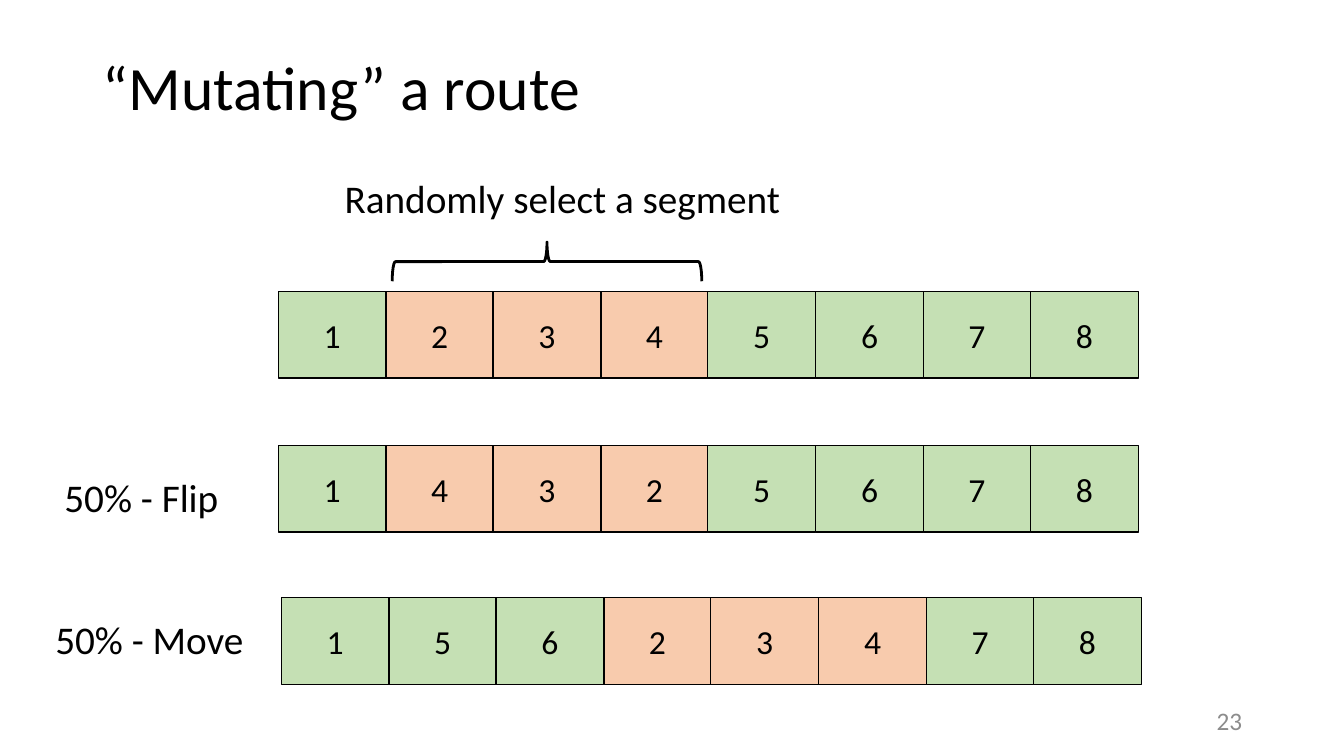
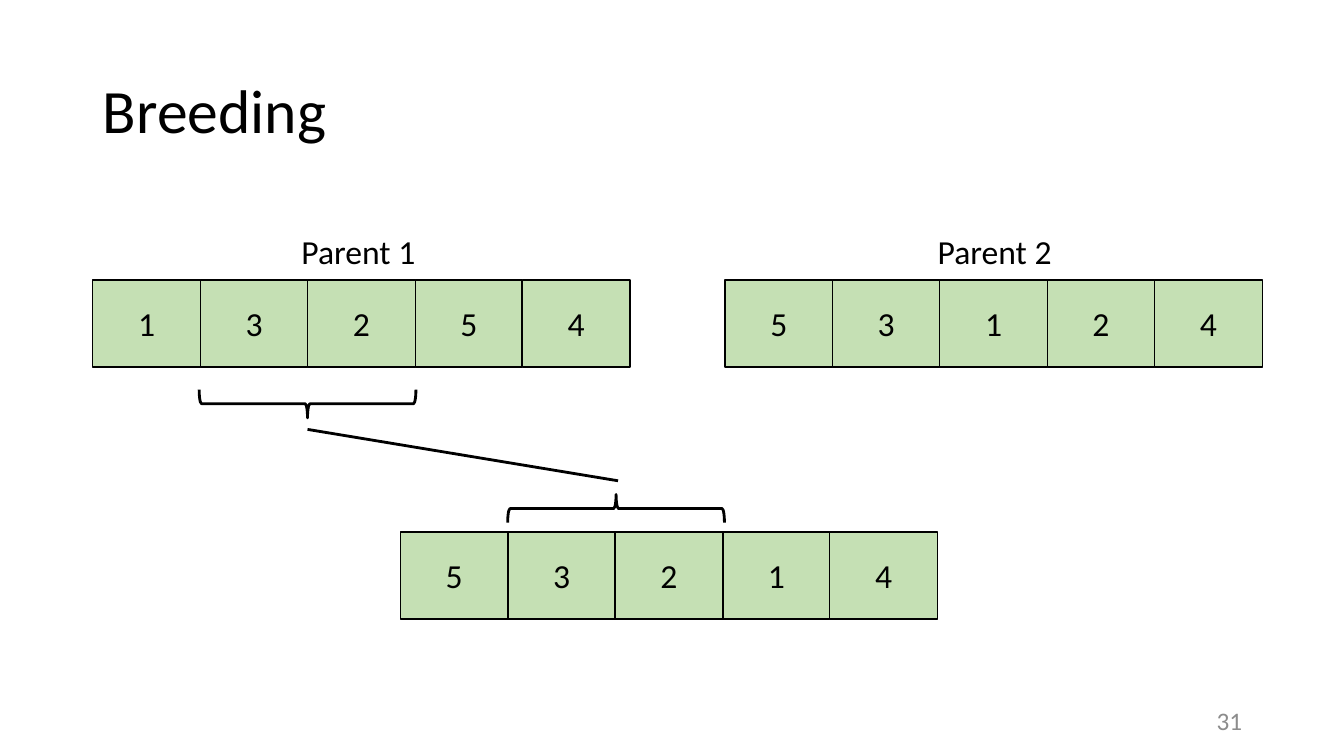
from dataclasses import dataclass

from lxml import etree
from pptx import Presentation
from pptx.dml.color import RGBColor
from pptx.enum.shapes import MSO_CONNECTOR, MSO_SHAPE
from pptx.enum.text import MSO_ANCHOR, MSO_AUTO_SIZE, PP_ALIGN
from pptx.oxml.ns import qn
from pptx.util import Emu, Pt

LEFT, CENTER, RIGHT = PP_ALIGN.LEFT, PP_ALIGN.CENTER, PP_ALIGN.RIGHT
TOP, MIDDLE = MSO_ANCHOR.TOP, MSO_ANCHOR.MIDDLE
RECTANGLE, LEFT_BRACE = MSO_SHAPE.RECTANGLE, MSO_SHAPE.LEFT_BRACE
STRAIGHT = MSO_CONNECTOR.STRAIGHT
NO_AUTOFIT = MSO_AUTO_SIZE.NONE

# Shared look; 100 px to the inch
EMU_PER_PX = 9144
SLIDE_WIDTH, SLIDE_HEIGHT = 1333, 750
TITLE_ONLY = 5
FONT = "Calibri"
BLACK, GREY = "000000", "8C8C8C"
GREEN, ORANGE = "C5E0B4", "F8CBAD"
CELL_HEIGHT = 86


@dataclass(frozen=True)
class Route:
    left: int
    top: int
    width: int
    stops: str
    segment: str = ""  # stops shown in orange


@dataclass(frozen=True)
class Brace:
    left: int
    top: int
    width: int
    height: int
    points_up: bool


@dataclass(frozen=True)
class Label:
    text: str
    left: int
    top: int
    width: int
    height: int
    size: int
    align: PP_ALIGN = LEFT
    anchor: MSO_ANCHOR = TOP
    color: str = BLACK


@dataclass(frozen=True)
class Link:
    x1: int
    y1: int
    x2: int
    y2: int


def px(length: int) -> Emu:
    return Emu(length * EMU_PER_PX)


def box(left: int, top: int, width: int, height: int) -> tuple[Emu, ...]:
    return px(left), px(top), px(width), px(height)


def rgb(color: str) -> RGBColor:
    return RGBColor.from_string(color)


def write(shape, text: str, *, size: int, color: str = BLACK, align=LEFT,
          anchor=TOP, spacing: float = 1.0) -> None:
    frame = shape.text_frame
    frame.word_wrap = True
    frame.auto_size = NO_AUTOFIT
    frame.vertical_anchor = anchor
    paragraph = frame.paragraphs[0]
    paragraph.alignment = align
    paragraph.line_spacing = spacing
    run = paragraph.add_run()
    run.text = text
    run.font.name = FONT
    run.font.size = Pt(size)
    run.font.color.rgb = rgb(color)


def set_line(shape, weight: int) -> None:
    shape.line.color.rgb = rgb(BLACK)
    shape.line.width = Pt(weight)


def draw_label(slide, label: Label) -> None:
    area = slide.shapes.add_textbox(
        *box(label.left, label.top, label.width, label.height))
    write(area, label.text, size=label.size, color=label.color,
          align=label.align, anchor=label.anchor)


def draw_route(slide, route: Route) -> None:
    count = len(route.stops)
    edges = [route.left + round(route.width * i / count) for i in range(count + 1)]
    for stop, start, end in zip(route.stops, edges, edges[1:]):
        cell = slide.shapes.add_shape(
            RECTANGLE, *box(start, route.top, end - start, CELL_HEIGHT))
        cell.shadow.inherit = False
        cell.fill.solid()
        cell.fill.fore_color.rgb = rgb(ORANGE if stop in route.segment else GREEN)
        set_line(cell, 1)
        write(cell, stop, size=24, align=CENTER, anchor=MIDDLE)


def draw_brace(slide, brace: Brace) -> None:
    # The preset stands upright, so its box is the turned one around one centre
    shift = (brace.width - brace.height) // 2
    shape = slide.shapes.add_shape(
        LEFT_BRACE,
        *box(brace.left + shift, brace.top - shift, brace.height, brace.width))
    shape.rotation = 90 if brace.points_up else 270
    shape.shadow.inherit = False
    shape.fill.background()
    set_line(shape, 2)


def draw_link(slide, link: Link) -> None:
    line = slide.shapes.add_connector(
        STRAIGHT, *box(link.x1, link.y1, link.x2, link.y2))
    set_line(line, 2)
    etree.SubElement(line._element.spPr, qn("a:effectLst"))


DRAWERS = {Label: draw_label, Route: draw_route, Brace: draw_brace, Link: draw_link}


def add_slide(deck, title: str, title_top: int, number: int, parts: list) -> None:
    slide = deck.slides.add_slide(deck.slide_layouts[TITLE_ONLY])
    heading = slide.shapes.title
    heading.left, heading.top, heading.width, heading.height = box(
        92, title_top, 1150, 145)
    write(heading, title, size=44, anchor=MIDDLE, spacing=0.9)
    page = Label(str(number), 942, 695, 300, 40, 18, RIGHT, MIDDLE, GREY)
    for part in [*parts, page]:
        DRAWERS[type(part)](slide, part)


MUTATING = [
    Label("Randomly select a segment", 332, 168, 456, 57, 28),
    Brace(389, 240, 307, 39, points_up=True),
    Route(276, 289, 853, "12345678", "234"),
    Label("50% - Flip", 54, 465, 191, 57, 28),
    Route(276, 442, 853, "14325678", "234"),
    Label("50% - Move", 45, 606, 220, 57, 28),
    Route(279, 593, 853, "15623478", "234"),
]

BREEDING = [
    Label("Parent 1", 197, 224, 317, 50, 24, CENTER),
    Route(92, 278, 533, "13254"),
    Label("Parent 2", 828, 224, 317, 50, 24, CENTER),
    Route(719, 278, 533, "53124"),
    Brace(198, 386, 215, 28, points_up=False),
    Link(305, 426, 613, 477),
    Brace(504, 490, 215, 28, points_up=True),
    Route(397, 528, 533, "53214"),
]


def main() -> None:
    deck = Presentation()
    deck.slide_width, deck.slide_height = px(SLIDE_WIDTH), px(SLIDE_HEIGHT)
    add_slide(deck, "“Mutating” a route", 17, 23, MUTATING)
    add_slide(deck, "Breeding", 40, 31, BREEDING)
    deck.save("out.pptx")


if __name__ == "__main__":
    main()
